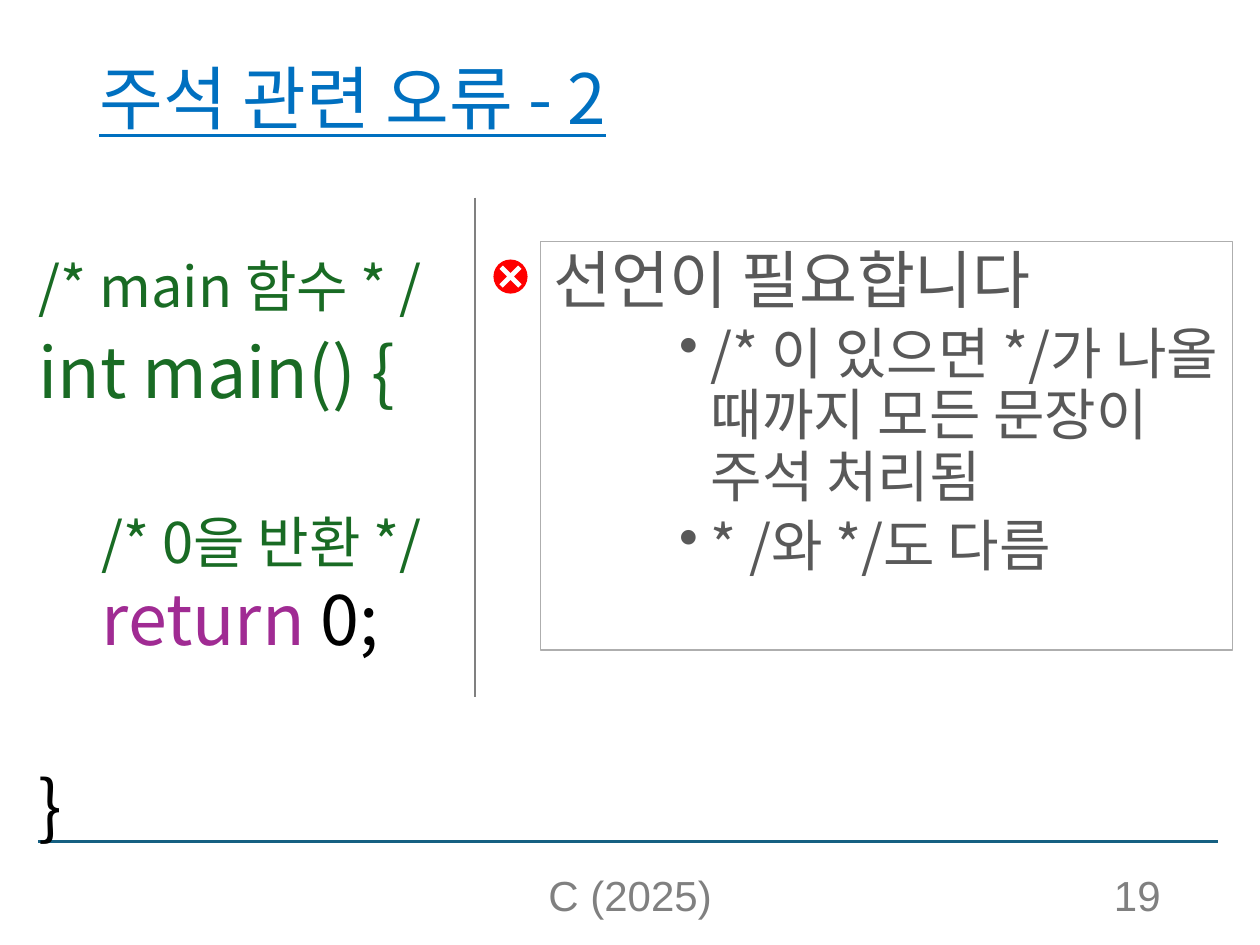
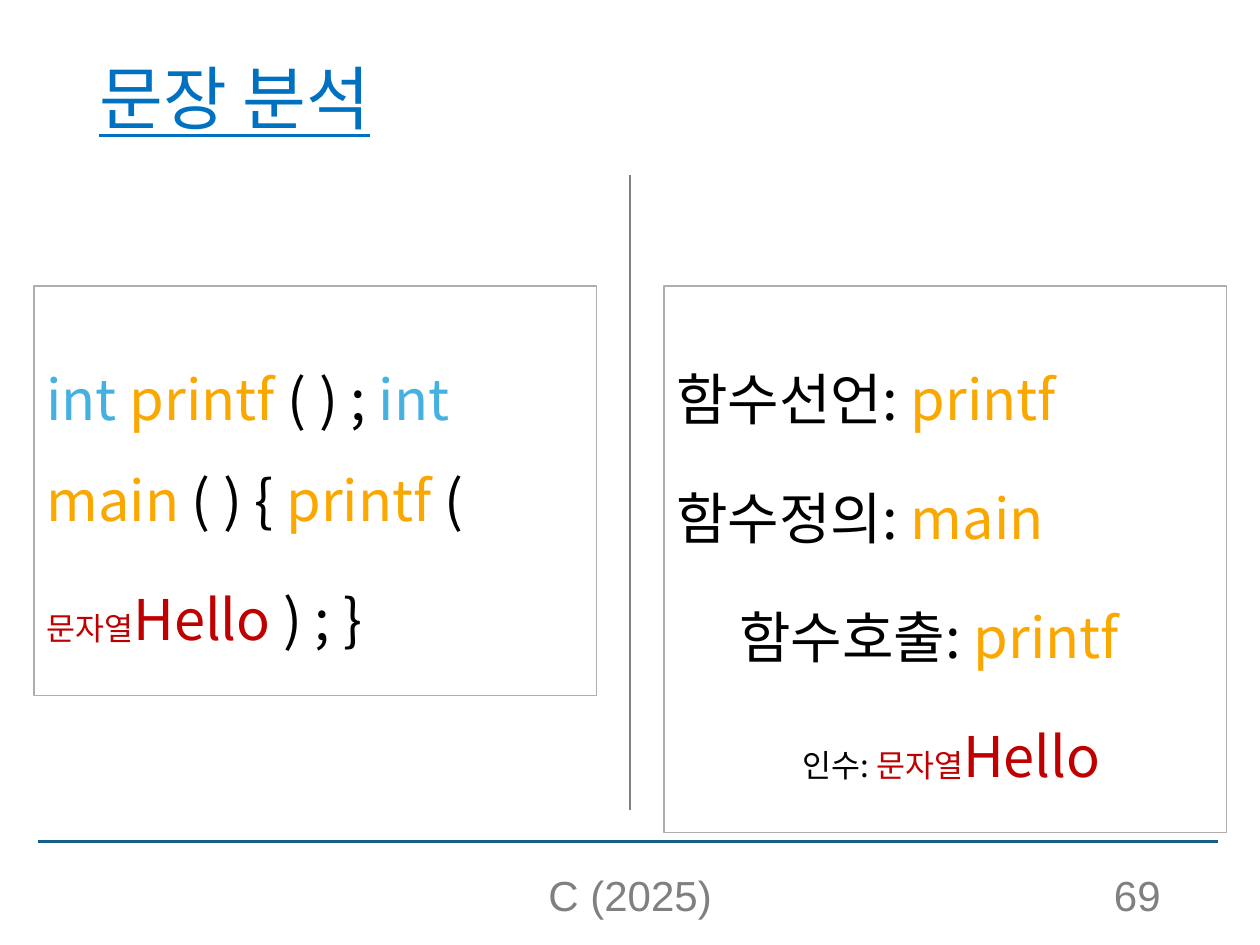
from dataclasses import dataclass
from typing import NamedTuple

from lxml import etree
from pptx import Presentation
from pptx.dml.color import RGBColor
from pptx.enum.shapes import MSO_CONNECTOR, MSO_SHAPE
from pptx.enum.text import MSO_ANCHOR, PP_ALIGN
from pptx.oxml.ns import qn
from pptx.util import Pt

TITLE_BLUE = RGBColor(0x00, 0x70, 0xC0)
RULE_BLUE = RGBColor(0x15, 0x60, 0x82)
GRAY = RGBColor(0x80, 0x80, 0x80)
BORDER = RGBColor(0xAE, 0xAE, 0xAE)
DARK_GRAY = RGBColor(0x59, 0x59, 0x59)
BLACK = RGBColor(0x00, 0x00, 0x00)
WHITE = RGBColor(0xFF, 0xFF, 0xFF)
GREEN = RGBColor(0x19, 0x6B, 0x24)
PURPLE = RGBColor(0xA0, 0x2B, 0x93)
ORANGE = RGBColor(0xFA, 0xA7, 0x00)
SKY = RGBColor(0x46, 0xB1, 0xE1)
DARK_RED = RGBColor(0xC0, 0x00, 0x00)
RED = RGBColor(0xFF, 0x00, 0x00)

BODY_FONT = "Noto Sans CJK KR"
FOOTER_FONT = "Arial"

LEFT, CENTER, RIGHT = PP_ALIGN.LEFT, PP_ALIGN.CENTER, PP_ALIGN.RIGHT
TOP, MIDDLE, BOTTOM = MSO_ANCHOR.TOP, MSO_ANCHOR.MIDDLE, MSO_ANCHOR.BOTTOM
STRAIGHT = MSO_CONNECTOR.STRAIGHT
RECT, OVAL, CROSS = MSO_SHAPE.RECTANGLE, MSO_SHAPE.OVAL, MSO_SHAPE.CROSS

TIGHT = 1.09
LOOSE = 1.81


class Box(NamedTuple):
    left: float
    top: float
    width: float
    height: float


class Run(NamedTuple):
    text: str
    color: RGBColor
    size: float = 32
    font: str = BODY_FONT
    underline: bool = False


@dataclass
class Para:
    runs: list[Run]
    before: float = 0
    indent: float = 0
    bullet: bool = False
    align: PP_ALIGN = LEFT


def format_run(r, run: Run) -> None:
    r.text = run.text
    r.font.size = Pt(run.size)
    r.font.color.rgb = run.color
    r.font.name = run.font
    if run.underline:
        r.font.underline = True
    ea = etree.SubElement(r.font._element, qn("a:ea"))
    ea.set("typeface", run.font)


def write_text(sp, paras: list[Para], anchor: MSO_ANCHOR, pitch: float | None) -> None:
    tf = sp.text_frame
    tf.word_wrap = True
    tf.vertical_anchor = anchor
    for i, para in enumerate(paras):
        p = tf.add_paragraph() if i else tf.paragraphs[0]
        hanging = 18 if para.bullet else 0
        pPr = p._p.get_or_add_pPr()
        pPr.set("marL", str(Pt(para.indent)))
        pPr.set("indent", str(-Pt(hanging)))
        if para.bullet:
            etree.SubElement(pPr, qn("a:buChar")).set("char", "•")
        p.alignment = para.align
        p.space_before = Pt(para.before)
        if pitch:
            p.line_spacing = Pt(round(max(run.size for run in para.runs) * pitch, 1))
        for run in para.runs:
            format_run(p.add_run(), run)


def add_text(s, box: Box, paras: list[Para], anchor: MSO_ANCHOR = TOP,
             pitch: float | None = TIGHT) -> None:
    write_text(s.shapes.add_textbox(*map(Pt, box)), paras, anchor, pitch)


def add_panel(s, box: Box, paras: list[Para], anchor: MSO_ANCHOR, pitch: float) -> None:
    sp = s.shapes.add_shape(RECT, *map(Pt, box))
    sp.shadow.inherit = False
    sp.fill.background()
    sp.line.color.rgb = BORDER
    sp.line.width = Pt(0.75)
    write_text(sp, paras, anchor, pitch)


def add_line(s, x1: float, y1: float, x2: float, y2: float, color: RGBColor) -> None:
    line = s.shapes.add_connector(STRAIGHT, Pt(x1), Pt(y1), Pt(x2), Pt(y2))
    line.line.color.rgb = color
    line.line.width = Pt(1.5)
    etree.SubElement(line._element.spPr, qn("a:effectLst"))


def add_error_mark(s, left: float, top: float) -> None:
    group = s.shapes.add_group_shape()
    disc = group.shapes.add_shape(OVAL, Pt(left), Pt(top), Pt(19.5), Pt(19.5))
    cross = group.shapes.add_shape(CROSS, Pt(left + 2.2), Pt(top + 2.2), Pt(15.1), Pt(15.1))
    cross.adjustments[0] = 0.41
    cross.rotation = 45
    for sp, color in ((disc, RED), (cross, WHITE)):
        sp.shadow.inherit = False
        sp.fill.solid()
        sp.fill.fore_color.rgb = color
        sp.line.fill.background()


def add_base_slide(prs, title: str, number: int):
    s = prs.slides.add_slide(prs.slide_layouts[6])
    add_line(s, 21.6, 481, 696.2, 481, RULE_BLUE)
    add_text(s, Box(49.7, 31, 620.6, 53.3),
             [Para([Run(title, TITLE_BLUE, 39.6, underline=True)])], MIDDLE)
    footers = (
        (Box(238.3, 500.4, 243.4, 28.8), "C (2025)", CENTER),
        (Box(508.3, 500.4, 162, 28.8), str(number), RIGHT),
    )
    for box, text, align in footers:
        add_text(s, box, [Para([Run(text, GRAY, 24, FOOTER_FONT)], align=align)],
                 BOTTOM, None)
    return s


def add_comment_error_slide(prs) -> None:
    s = add_base_slide(prs, "주석 관련 오류 - 2", 19)
    add_line(s, 271.4, 113, 271.4, 398.2, GRAY)
    add_panel(s, Box(309, 138, 395.5, 233.5), [
        Para([Run("선언이 필요합니다", DARK_GRAY, 36)]),
        Para([Run("/* 이 있으면 */가 나올 때까지 모든 문장이 주석 처리됨", DARK_GRAY)],
             5, 90, True),
        Para([Run("* /와 */도 다름", DARK_GRAY)], 5, 90, True),
    ], TOP, TIGHT)
    add_error_mark(s, 282, 148.3)
    add_text(s, Box(15.1, 143.5, 527.8, 331.5), [
        Para([Run("/* main 함수 * /", GREEN)]),
        Para([Run("int main() {", GREEN, 40)], 10),
        Para([Run("/* 0을 반환 */", GREEN)], 58, 36),
        Para([Run("return", PURPLE, 40), Run(" 0;", BLACK, 40)], 5, 36),
        Para([Run("}", BLACK, 40)], 63),
    ])


def add_parsing_slide(prs) -> None:
    s = add_base_slide(prs, "문장 분석", 69)
    add_line(s, 360, 100, 360, 463, GRAY)
    panel_top, panel_width = 163.4, 321.4
    add_panel(s, Box(379.4, panel_top, panel_width, 312.5), [
        Para([Run("함수선언: ", BLACK), Run("printf", ORANGE)]),
        Para([Run("함수정의:", BLACK), Run(" main", ORANGE)], 10),
        Para([Run("함수호출: ", BLACK), Run("printf", ORANGE)], 10, 36),
        Para([Run("인수:", BLACK, 18), Run(" 문자열", DARK_RED, 18),
              Run("Hello", DARK_RED)], 10, 72),
    ], MIDDLE, LOOSE)
    add_panel(s, Box(19.4, panel_top, panel_width, 234), [
        Para([Run("int ", SKY), Run("printf ", ORANGE), Run("( ) ; ", BLACK),
              Run("int ", SKY), Run("main ", ORANGE), Run("( ) { ", BLACK),
              Run("printf ", ORANGE), Run("(", BLACK)]),
        Para([Run("문자열", DARK_RED, 18), Run("Hello ", DARK_RED),
              Run(") ; }", BLACK)], 10),
    ], MIDDLE, LOOSE)


def main() -> None:
    prs = Presentation()
    prs.slide_width, prs.slide_height = Pt(720), Pt(540)
    add_comment_error_slide(prs)
    add_parsing_slide(prs)
    prs.save("out.pptx")


if __name__ == "__main__":
    main()
